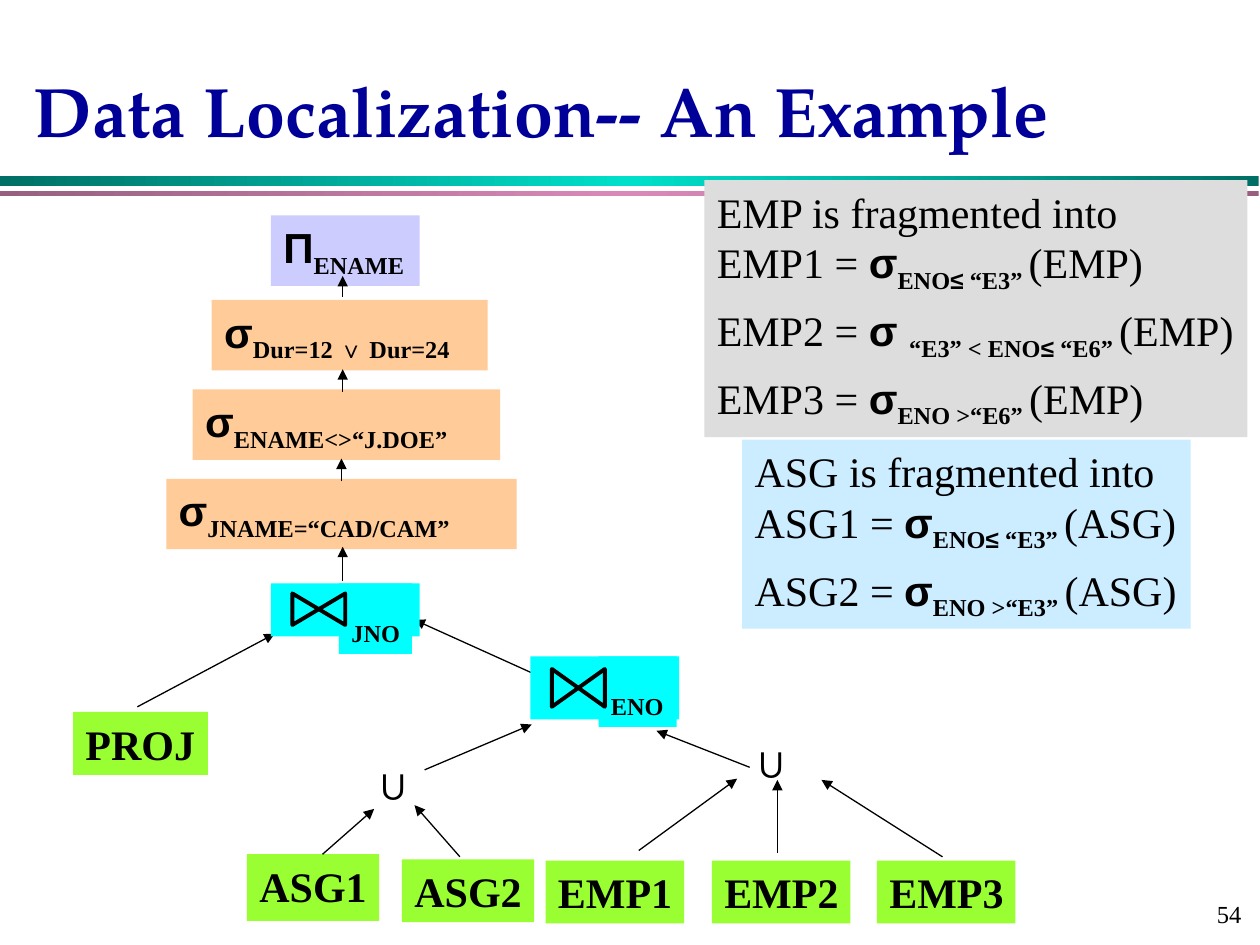
from copy import deepcopy
from pptx import Presentation
from pptx.dml.color import RGBColor
from pptx.enum.shapes import MSO_CONNECTOR, MSO_SHAPE
from pptx.enum.text import MSO_ANCHOR, PP_ALIGN
from pptx.oxml.ns import qn
from pptx.util import Inches, Pt
from lxml.etree import SubElement

COLORS = {
    "black": "000000", "title": "000099", "leaf": "99FF33", "project": "CCCCFF",
    "select": "FFCC99", "join": "00FFFF", "emp": "DDDDDD", "asg": "CCECFF",
    "teal": "006F65", "aqua": "00DFCA", "plum": "976080", "pink": "D989B8",
}
SERIF, SANS, TITLE = "Times New Roman", "Arial", "TeX Gyre Pagella"

# Style of a run: font, bold, subscript
STYLES = {
    "plain": (SERIF, False, False),
    "bold": (SERIF, True, False),
    "greek": (SANS, True, False),
    "sub": (SERIF, True, True),
    "sign": (SANS, True, True),
}


def color(name):
    return RGBColor.from_string(COLORS[name])


def add_runs(para, runs):
    """Write (style, text) pairs into a paragraph."""
    para.alignment = PP_ALIGN.LEFT
    for style, text in runs:
        face, bold, sub = STYLES[style]
        run = para.add_run()
        run.text = text
        font = run.font
        font.name, font.size, font.bold = face, Pt(24), bold
        font.color.rgb = color("black")
        if sub:
            font._element.set("baseline", "-25000")


def add_box(slide, place, fill=None, lines=(), after=0):
    """Add a flat rectangle with one list of runs per line of text."""
    box = slide.shapes.add_shape(MSO_SHAPE.RECTANGLE, *map(Inches, place))
    box.shadow.inherit = False
    box.line.fill.background()
    if fill:
        box.fill.solid()
        box.fill.fore_color.rgb = color(fill)
    else:
        box.fill.background()
    frame = box.text_frame
    frame.word_wrap = False
    frame.vertical_anchor = MSO_ANCHOR.TOP
    for i, runs in enumerate(lines):
        para = frame.add_paragraph() if i else frame.paragraphs[0]
        add_runs(para, runs)
        if i:
            para.space_after = Pt(after)
    return box


def add_label(slide, place, text, face, size, hue, bold=False):
    box = slide.shapes.add_textbox(*map(Inches, place))
    frame = box.text_frame
    frame.text = text
    font = frame.paragraphs[0].runs[0].font
    font.name, font.size, font.bold = face, Pt(size), bold
    font.color.rgb = color(hue)
    return frame


def add_band(slide, top, height, edge, mid):
    """Add a rule that runs from edge colour to mid colour and back."""
    band = add_box(slide, (0, top, 9.99, height))
    band.fill.gradient()
    band.fill.gradient_angle = 0
    stops = band._element.spPr.find(".//" + qn("a:gsLst"))
    stops.insert(1, deepcopy(stops[0]))
    for stop, hue, pos in zip(band.fill.gradient_stops, (edge, mid, edge), (0, 0.5, 1)):
        stop.color.rgb = color(hue)
        stop.position = pos


def add_arrow(slide, x1, y1, x2, y2):
    arrow = slide.shapes.add_connector(
        MSO_CONNECTOR.STRAIGHT, *map(Inches, (x1, y1, x2, y2)))
    arrow.line.color.rgb = color("black")
    arrow.line.width = Pt(0.75)
    SubElement(arrow.line._get_or_add_ln(), qn("a:tailEnd"), type="triangle")
    SubElement(arrow._element.spPr, qn("a:effectLst"))


def add_join(slide, left, top, height, key, width, bow):
    """Add a join node: panel, subscript key and bow tie (top, height)."""
    add_box(slide, (left, top, 1.18, height), "join")
    add_box(slide, (left + 0.54, top, width, 0.56), "join", [[("sub", key)]])
    x, y = left + 0.17, top + bow[0]
    right, low = x + 0.42, y + bow[1]
    pen = slide.shapes.build_freeform(Inches(x), Inches(y), scale=1.0)
    points = [(x, low), (right, y), (right, low)]
    pen.add_line_segments([(Inches(a), Inches(b)) for a, b in points], close=True)
    tie = pen.convert_to_shape()
    tie.shadow.inherit = False
    tie.fill.solid()
    tie.fill.fore_color.rgb = color("join")
    tie.line.color.rgb = color("black")
    tie.line.width = Pt(2.25)


def add_note(slide, place, fill, name, rules):
    """Add the list of fragments of one relation."""
    lines = [[("plain", f"{name} is fragmented into")]]
    for i, rule in enumerate(rules, 1):
        lines.append([("plain", f"{name}{i} = "), *rule, ("plain", f"({name})")])
    add_box(slide, place, fill, lines, 6)


def main():
    deck = Presentation()
    deck.slide_width, deck.slide_height = Inches(10), Inches(7.5)
    slide = deck.slides.add_slide(deck.slide_layouts[6])

    add_band(slide, 1.4, 0.08, "teal", "aqua")
    add_band(slide, 1.52, 0.04, "plum", "pink")
    page = add_label(slide, (7.92, 7, 2.08, 0.5), "54 ", SERIF, 14, "black")
    page.vertical_anchor = MSO_ANCHOR.MIDDLE
    page.paragraphs[0].alignment = PP_ALIGN.RIGHT
    title = add_label(slide, (0.17, 0.17, 9.25, 1.08),
                      "Data Localization-- An Example", TITLE, 40, "title", True)
    title.word_wrap = True
    title.vertical_anchor = MSO_ANCHOR.BOTTOM

    for text, left, top, width, height in [
        ("PROJ", 0.58, 5.65, 1.07, 0.5),
        ("ASG1", 1.96, 6.78, 1.05, 0.53), ("ASG2", 3.19, 6.82, 1.05, 0.5),
        ("EMP1", 4.33, 6.83, 1.1, 0.5), ("EMP2", 5.65, 6.83, 1.1, 0.5),
        ("EMP3", 6.96, 6.83, 1.1, 0.5),
    ]:
        add_box(slide, (left, top, width, height), "leaf", [[("bold", text)]])

    for left, top, width, fill, sign, runs in [
        (2.15, 1.71, 1.18, "project", "Π", [("sub", "ENAME")]),
        (1.68, 2.38, 2.19, "select", "σ",
         [("sub", "Dur=12 "), ("sign", "∨"), ("sub", " Dur=24")]),
        (1.53, 3.09, 2.44, "select", "σ", [("sub", "ENAME<>“J.DOE”")]),
        (1.32, 3.8, 2.78, "select", "σ", [("sub", "JNAME=“CAD/CAM”")]),
    ]:
        add_box(slide, (left, top, width, 0.56), fill, [[("greek", sign), *runs]])

    for left, top in [(2.91, 5.97), (5.91, 5.8)]:
        add_label(slide, (left, top, 0.46, 0.5), "∪", SANS, 24, "black", True)

    for ends in [
        (2.72, 2.36, 2.72, 2.19), (2.72, 3.11, 2.72, 2.93),
        (2.71, 3.82, 2.71, 3.64), (2.72, 4.61, 2.72, 4.34),
        (1.09, 5.61, 2.18, 5.03), (4.22, 5.34, 3.29, 4.92),
        (3.37, 6.11, 4.22, 5.75), (5.95, 6.09, 5.21, 5.8),
        (2.56, 6.78, 2.97, 6.42), (3.65, 6.8, 3.29, 6.39),
        (5.07, 6.75, 5.85, 6.18), (6.17, 6.77, 6.17, 6.19),
        (7.48, 6.8, 6.52, 6.19),
    ]:
        add_arrow(slide, *ends)

    add_join(slide, 4.21, 5.21, 0.5, "ENO", 0.62, (0.1, 0.3))
    add_join(slide, 2.15, 4.63, 0.42, "JNO", 0.58, (0.08, 0.25))

    low = [("greek", "σ"), ("sub", "ENO"), ("sign", "≤"), ("sub", " “E3” ")]
    mid = [("greek", "σ "), ("sub", "“E3” < ENO"), ("sign", "≤"), ("sub", " “E6” ")]
    add_note(slide, (5.59, 1.43, 4.31, 2.04), "emp", "EMP",
             [low, mid, [("greek", "σ"), ("sub", "ENO >“E6” ")]])
    add_note(slide, (5.89, 3.49, 3.56, 1.5), "asg", "ASG",
             [low, [("greek", "σ"), ("sub", "ENO >“E3” ")]])

    deck.save("out.pptx")


if __name__ == "__main__":
    main()
